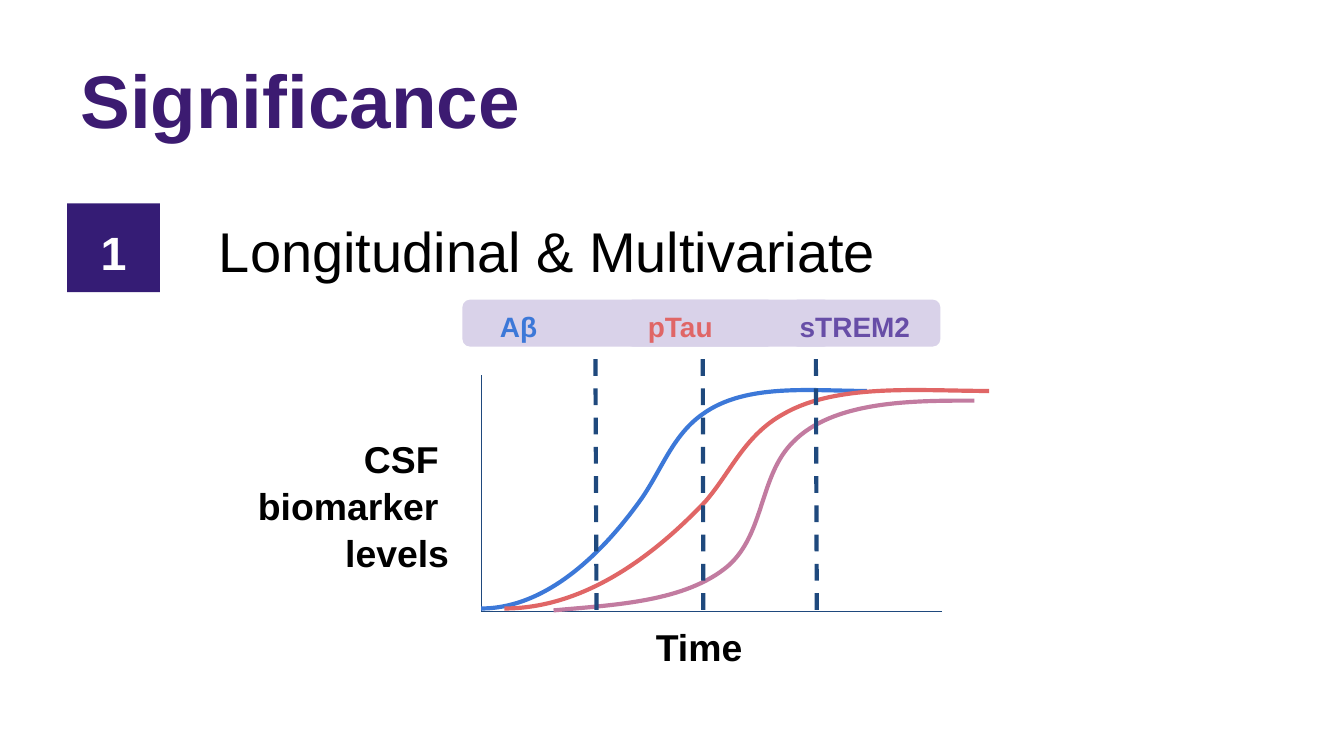
from lxml.etree import SubElement
from pptx import Presentation
from pptx.dml.color import RGBColor
from pptx.enum.dml import MSO_LINE
from pptx.enum.shapes import MSO_CONNECTOR, MSO_SHAPE
from pptx.enum.text import MSO_ANCHOR, PP_ALIGN
from pptx.oxml.ns import qn
from pptx.util import Pt

BLACK = RGBColor(0x00, 0x00, 0x00)
WHITE = RGBColor(0xFF, 0xFF, 0xFF)
TITLE_PURPLE = RGBColor(0x3C, 0x1B, 0x71)
BADGE_PURPLE = RGBColor(0x35, 0x1C, 0x75)
LAVENDER = RGBColor(0xD9, 0xD2, 0xE9)
NAVY = RGBColor(0x1F, 0x49, 0x7D)
BLUE = RGBColor(0x3C, 0x78, 0xD8)
RED = RGBColor(0xE0, 0x66, 0x66)
MAUVE = RGBColor(0xC2, 0x7B, 0xA0)
VIOLET = RGBColor(0x67, 0x4E, 0xA7)


class SlideBuilder:
    font = "Arial"

    def __init__(self, slide):
        self.shapes = slide.shapes

    def fill_text(self, shape, text, size, color, bold=True, align=PP_ALIGN.LEFT,
                  anchor=MSO_ANCHOR.TOP, spacing=1.05):
        frame = shape.text_frame
        frame.word_wrap = True
        frame.vertical_anchor = anchor
        frame.text = text
        for paragraph in frame.paragraphs:
            paragraph.alignment = align
            paragraph.line_spacing = spacing
            for run in paragraph.runs:
                run.font.name = self.font
                run.font.size = Pt(size)
                run.font.bold = bold
                run.font.color.rgb = color

    def text(self, box, text, size, color, **style):
        label = self.shapes.add_textbox(*map(Pt, box))
        self.fill_text(label, text, size, color, **style)

    def block(self, kind, box, fill):
        block = self.shapes.add_shape(kind, *map(Pt, box))
        block.shadow.inherit = False
        block.fill.solid()
        block.fill.fore_color.rgb = fill
        block.line.fill.background()
        return block

    def line(self, start, end, width, dash=None):
        line = self.shapes.add_connector(
            MSO_CONNECTOR.STRAIGHT, *map(Pt, (*start, *end)))
        line.line.color.rgb = NAVY
        line.line.width = Pt(width)
        if dash:
            line.line.dash_style = dash
        SubElement(line._element.spPr, qn("a:effectLst"))

    def curve(self, points, color):
        start, *rest = [(Pt(x), Pt(y)) for x, y in points]
        builder = self.shapes.build_freeform(*start)
        builder.add_line_segments(rest, close=False)
        curve = builder.convert_to_shape()
        curve.shadow.inherit = False
        curve.fill.background()
        curve.line.color.rgb = color
        curve.line.width = Pt(2.25)
        outline = next(curve._element.iter(qn("a:path")))
        segments = outline.findall(qn("a:lnTo"))
        for first in range(0, len(segments), 3):
            bezier = SubElement(outline, qn("a:cubicBezTo"))
            for segment in segments[first:first + 3]:
                bezier.append(segment[0])
                outline.remove(segment)


def main():
    presentation = Presentation()
    presentation.slide_width = Pt(720)
    presentation.slide_height = Pt(405)
    slide = presentation.slides.add_slide(presentation.slide_layouts[6])
    builder = SlideBuilder(slide)

    builder.text((36, 16.6, 648, 67.7), "Significance", 40, TITLE_PURPLE,
                 anchor=MSO_ANCHOR.MIDDLE, spacing=1.1)
    badge = builder.block(MSO_SHAPE.RECTANGLE, (36, 109, 49.7, 47.5), BADGE_PURPLE)
    builder.fill_text(badge, "1", 25, WHITE, align=PP_ALIGN.CENTER,
                      anchor=MSO_ANCHOR.MIDDLE, spacing=1.15)
    builder.text((110.2, 110.9, 573.8, 43.9), "Longitudinal & Multivariate",
                 30, BLACK, bold=False)

    origin = (257.8, 327.6)
    builder.line((257.8, 201), origin, 0.75)
    builder.line((504.7, 327.6), origin, 0.75)
    builder.text((344.2, 329.8, 73.4, 31.7), "Time", 20, BLACK)
    builder.text((126, 229, 121.7, 80), "CSF \nbiomarker \nlevels", 20, BLACK,
                 align=PP_ALIGN.RIGHT)

    biomarker_curves = [
        (BLUE, [(257.8, 326), (293.8, 326), (324, 294.5), (342.7, 268.6),
                (354.2, 252.7), (360, 233.3), (376.6, 221.8),
                (399.6, 205.2), (434.9, 209.5), (464.4, 209.5)]),
        (RED, [(270.2, 326), (315.4, 326), (353.5, 294.5), (378, 268.6),
               (391.7, 252.7), (398.9, 233.3), (419.8, 221.8),
               (448.6, 205.2), (493.2, 209.5), (529.9, 209.5)]),
        (MAUVE, [(296.6, 327), (329, 324), (367.2, 322.6), (390.2, 303.1),
                 (409.7, 285.8), (406.8, 254.9), (424.8, 236.9),
                 (446.4, 214.6), (488.9, 214.6), (522, 214.6)]),
    ]
    for color, points in biomarker_curves:
        builder.curve(points, color)

    for top_x, bottom_x in [(319, 319.6), (376.5, 376.8), (437.1, 437.6)]:
        builder.line((top_x, 192.4), (bottom_x, 328.2), 2.25, MSO_LINE.DASH)

    builder.shapes = slide.shapes.add_group_shape().shapes
    for left, width in [(247.7, 198), (334.8, 80.6), (423.2, 80.6)]:
        builder.block(MSO_SHAPE.ROUNDED_RECTANGLE, (left, 160.5, width, 25.2), LAVENDER)
    for name, left, width, color in [("Aβ", 260.8, 45.4, BLUE),
                                     ("pTau", 340, 64.1, RED),
                                     ("sTREM2", 421.3, 85.7, VIOLET)]:
        builder.text((left, 161.3, width, 25.2), name, 15, color)

    presentation.save("out.pptx")


if __name__ == "__main__":
    main()
